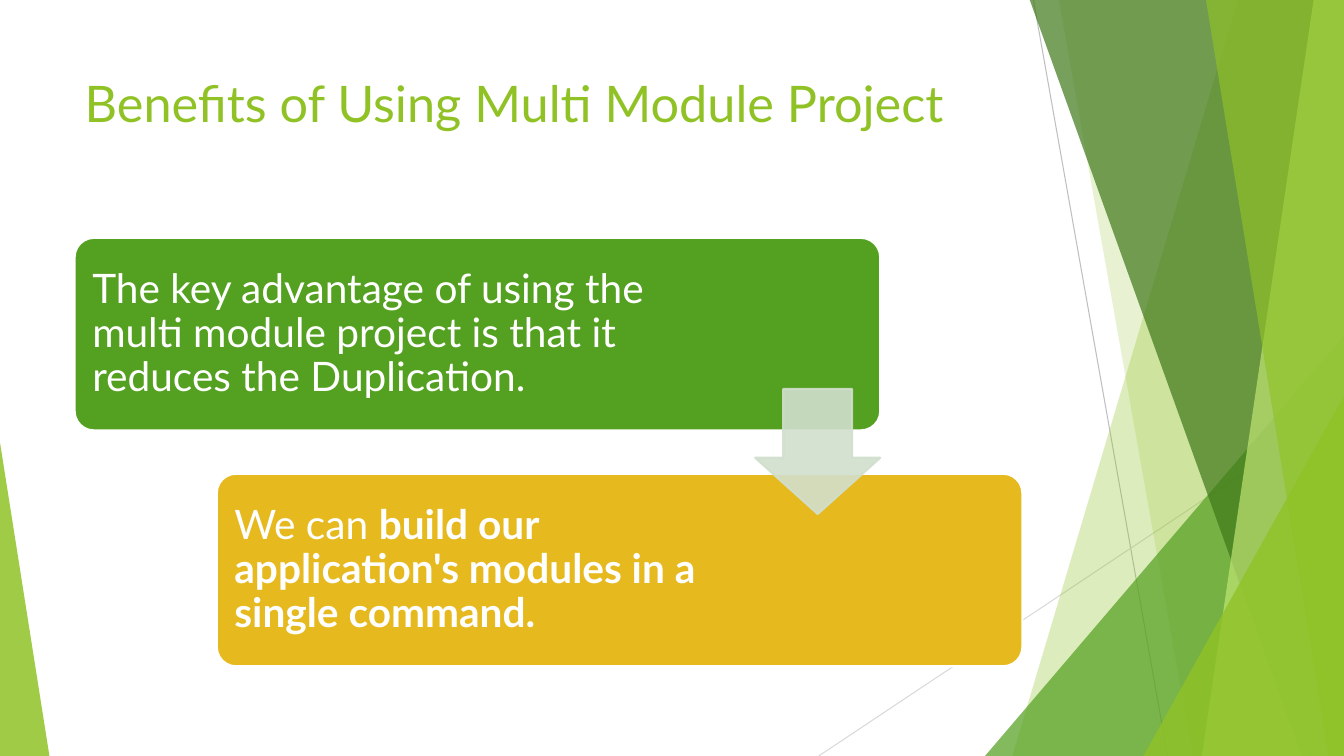
from lxml import etree
from pptx import Presentation
from pptx.dml.color import RGBColor
from pptx.enum.shapes import MSO_CONNECTOR, MSO_SHAPE
from pptx.enum.text import MSO_ANCHOR
from pptx.oxml.ns import qn
from pptx.util import Inches, Pt

LINE = MSO_CONNECTOR.STRAIGHT
TRIANGLE = MSO_SHAPE.ISOSCELES_TRIANGLE
ROUNDED = MSO_SHAPE.ROUNDED_RECTANGLE
DOWN_ARROW = MSO_SHAPE.DOWN_ARROW
TOP, MIDDLE = MSO_ANCHOR.TOP, MSO_ANCHOR.MIDDLE

W, H = 13.33, 7.5
FONT = "Lato"
COLORS = {
    "lime": "90C226",
    "green": "54A021",
    "forest": "3F7819",
    "pale": "C0E474",
    "gold": "E6B91E",
    "mist": "D1DFCD",
    "white": "FFFFFF",
    "gray": "BFBFBF",
    "light_gray": "D9D9D9",
}


def rgb(name):
    return RGBColor.from_string(COLORS[name])


def set_alpha(fill_parent, percent):
    for clr in fill_parent.iter(qn("a:srgbClr")):
        etree.SubElement(clr, qn("a:alpha")).set("val", str(percent * 1000))


def style_shape(sp, fill, alpha=100, line=None):
    sp.shadow.inherit = False
    sp.fill.solid()
    sp.fill.fore_color.rgb = rgb(fill)
    if line:
        sp.line.color.rgb = rgb(line)
        sp.line.width = Pt(1.5)
    else:
        sp.line.fill.background()
    if alpha < 100:
        set_alpha(sp.element.spPr, alpha)


def add_preset(s, kind, box, adjustments, fill, alpha=100, line=None):
    sp = s.shapes.add_shape(kind, *map(Inches, box))
    for i, value in enumerate(adjustments):
        sp.adjustments[i] = value
    style_shape(sp, fill, alpha, line)


def format_text(tf, anchor, inset):
    values = {"word_wrap": True, "vertical_anchor": anchor}
    for side in ("left", "top", "right", "bottom"):
        values[f"margin_{side}"] = Inches(inset[side in ("top", "bottom")])
    for name, value in values.items():
        setattr(tf, name, value)


def add_run(p, text, size, color, bold=False):
    r = p.add_run()
    r.text = text
    r.font.color.rgb = rgb(color)
    for name, value in {"name": FONT, "size": Pt(size), "bold": bold}.items():
        setattr(r.font, name, value)


def add_facets(s, width, height):
    for start, end, color in (
        ((10.25, 0), (11.58, height), "gray"),
        ((width, 4.03), (8.12, height), "light_gray"),
    ):
        line = s.shapes.add_connector(LINE, *map(Inches, start + end))
        line.line.color.rgb = rgb(color)
        line.line.width = Pt(0.75)
        etree.SubElement(line.element.spPr, qn("a:effectLst"))

    def add_band(top_x, bottom_x, fill, alpha):
        top = -0.01
        points = [(top_x, top), (width, top), (width, height), (bottom_x, height)]
        points = [(Inches(x), Inches(y)) for x, y in points]
        builder = s.shapes.build_freeform(*points[0])
        builder.add_line_segments(points[1:], close=True)
        style_shape(builder.convert_to_shape(), fill, alpha)

    def add_corner(left, top, right, apex, fill, alpha):
        box = (left, top, right - left, height - top)
        add_preset(s, TRIANGLE, box, [apex], fill, alpha)

    add_band(12.28, 10.04, "lime", 30)
    add_band(10.5, 11.83, "lime", 20)
    add_corner(9.77, 3.33, width, 1, "green", 72)
    add_band(10.21, 12.91, "forest", 70)
    add_band(13.03, 11.92, "pale", 70)
    add_band(11.96, 13.18, "lime", 65)
    add_corner(11.34, 3.93, width, 1, "lime", 80)
    add_corner(0, 4.39, 0.49, 0, "lime", 85)


def add_title(s, box, text):
    title = s.shapes.title
    for name, value in zip(("left", "top", "width", "height"), box):
        setattr(title, name, Inches(value))
    format_text(title.text_frame, TOP, (0.1, 0.05))
    p = title.text_frame.paragraphs[0]
    p.alignment = 1
    add_run(p, text, 36, "lime")
    title.element.getparent().append(title.element)


def add_step(s, box, text_width, fill, runs):
    left, top, _, height = box
    add_preset(s, ROUNDED, box, [0.1], fill, line="white")
    pad = 0.055
    text_box = (left + pad, top + pad, text_width, height - 2 * pad)
    tf = s.shapes.add_textbox(*map(Inches, text_box)).text_frame
    format_text(tf, MIDDLE, (0.12, 0.12))
    p = tf.paragraphs[0]
    p.line_spacing = 0.9
    for text, bold in runs:
        add_run(p, text, 29, "white", bold)


def add_process(s, left, top, width, height):
    step_w, step_h, arrow = 7.99, 1.91, 1.24
    steps = [
        (6.02, "green", [("The key advantage of using the multi module project "
                          "is that it reduces the Duplication.", False)]),
        (5.23, "gold", [("We can ", False),
                        ("build our application's modules in a single command.", True)]),
    ]
    for i, (text_width, fill, runs) in enumerate(steps):
        box = (left + i * (width - step_w), top + i * (height - step_h), step_w, step_h)
        add_step(s, box, text_width, fill, runs)
    arrow_box = (left + step_w - arrow, top + 1.5, arrow, arrow)
    add_preset(s, DOWN_ARROW, arrow_box, [0.55, 0.45], "mist", 90, "mist")


def main():
    prs = Presentation()
    prs.slide_width, prs.slide_height = Inches(W), Inches(H)
    s = prs.slides.add_slide(prs.slide_layouts[5])
    add_facets(s, W, H)
    add_title(s, (0.74, 0.67, 9.4, 1.44), "Benefits of Using Multi Module Project")
    add_process(s, 0.74, 2.36, 9.4, 4.25)
    prs.save("out.pptx")


if __name__ == "__main__":
    main()
